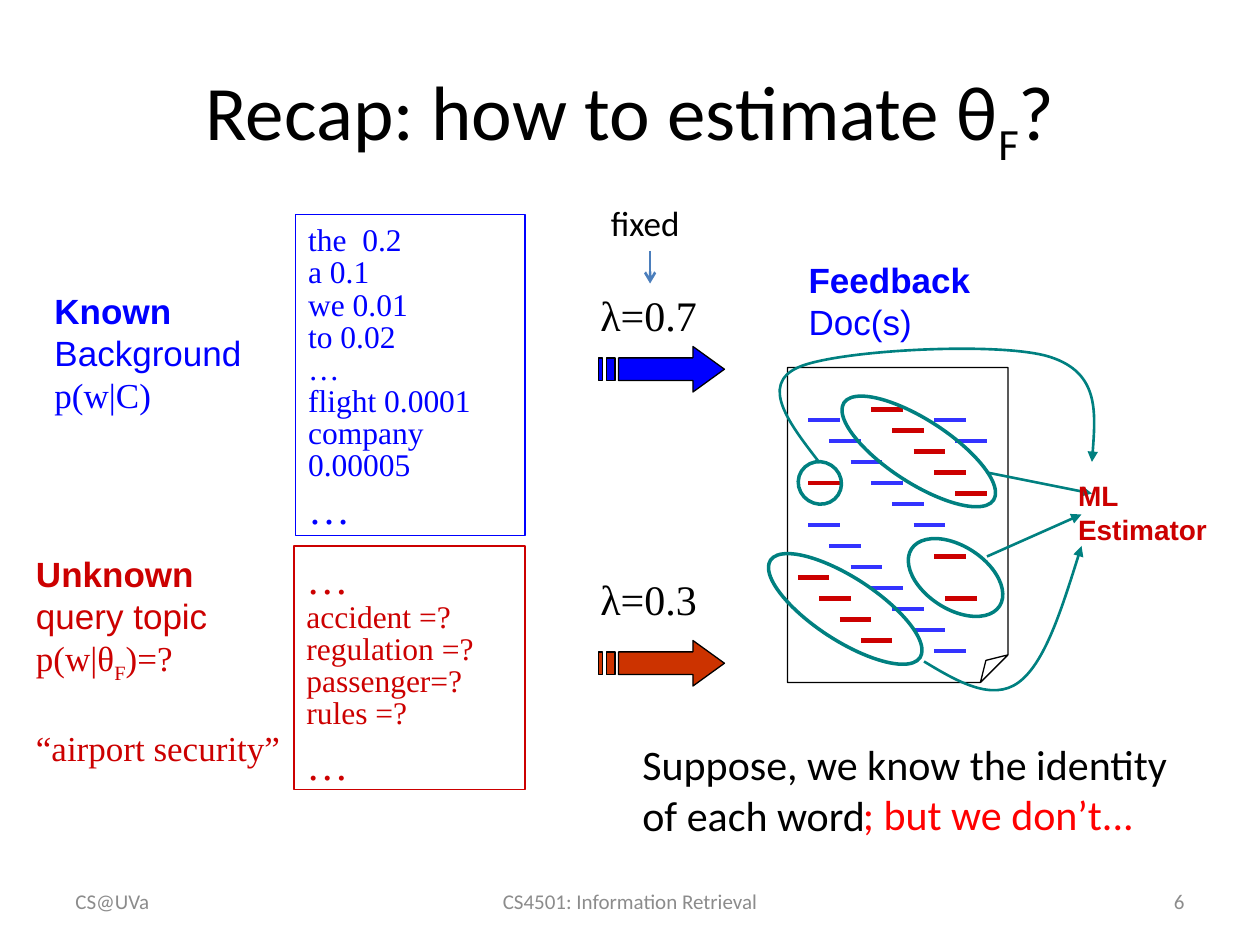
from typing import NamedTuple

import lxml.etree
import pptx
import pptx.dml.color
import pptx.enum.shapes
import pptx.enum.text
import pptx.oxml.ns
import pptx.util

Pt = pptx.util.Pt
qn = pptx.oxml.ns.qn
Align = pptx.enum.text.PP_ALIGN
Anchor = pptx.enum.text.MSO_ANCHOR
Preset = pptx.enum.shapes.MSO_SHAPE
Point = tuple[float, float]
BLACK, BLUE, RED, TEAL = "000000", "0000FF", "CC0000", "008080"
WORD_BLUE, GREY = "3333FF", "8C8C8C"
SERIF, SANS, BODY = "Times New Roman", "Arial", "Calibri"


class Line(NamedTuple):
    """One paragraph; "_F" in its text becomes a subscript F."""
    text: str
    size: float
    font: str
    bold: bool = False
    spacing: float = 1.0
    before: float = 0


class Box(NamedTuple):
    left: float
    top: float
    width: float
    height: float


class Label(NamedTuple):
    box: Box
    color: str
    lines: list[Line]
    wrap: bool = False
    align: Align = Align.LEFT
    anchor: Anchor = Anchor.TOP


class WordStairs(NamedTuple):
    """Word strokes that step down to the right."""
    left: float
    top: float
    count: int
    color: str


def word_list(*entries: str) -> list[Line]:
    return [Line(entry, 18, SERIF, spacing=0.85) for entry in entries]


TITLE = Label(Box(36, 21.6, 648, 90), BLACK, [Line("Recap: how to estimate θ_F?", 44, BODY)],
              True, Align.CENTER, Anchor.MIDDLE)
WORD_MODELS = [
    Label(Box(169, 122.4, 131, 183.6), BLUE,
          [Line("the  0.2", 18, SERIF),
           *word_list("a 0.1", "we 0.01", "to 0.02", "…", "flight 0.0001", "company 0.00005"),
           Line("…", 24, SERIF, spacing=0.85, before=4)], wrap=True),
    Label(Box(168, 312, 132, 139), RED,
          [Line("…", 24, SERIF),
           *word_list("accident =?", "regulation =?", "passenger=?", "rules =?"),
           Line("…", 24, SERIF, before=4)], wrap=True),
]
LABELS = [
    Label(Box(24, 162, 126, 79), BLUE,
          [Line("Known", 20, SANS, True), Line("Background", 20, SANS),
           Line("p(w|C)", 20, SERIF)]),
    Label(Box(13.5, 312, 160.5, 128), RED,
          [Line("Unknown", 20, SANS, True), Line("query topic", 20, SANS),
           Line("p(w|θ_F)=?", 20, SERIF), Line("“airport security”", 20, SERIF, before=24)]),
    Label(Box(336, 162, 71, 36), BLACK, [Line("λ=0.7", 24, SERIF)]),
    Label(Box(336, 324, 71, 36), BLACK, [Line("λ=0.3", 24, SERIF)]),
    Label(Box(455, 144, 108, 55.5), BLUE,
          [Line("Feedback", 20, SANS, True), Line("Doc(s)", 20, SANS)]),
    Label(Box(360, 418.5, 324, 65.5), BLACK,
          [Line("Suppose, we know the identity of each word", 24, BODY)], wrap=True),
    Label(Box(609, 270, 88.5, 46), RED,
          [Line("ML", 16, SANS, True), Line("Estimator", 16, SANS, True)]),
    Label(Box(342, 111.6, 75.6, 31.7), BLACK, [Line("fixed", 20, BODY)], wrap=True),
    Label(Box(486, 447, 170.6, 36), "FF0000", [Line("; but we don’t...", 24, BODY)]),
]
FOOTERS = [(36, 168, "CS@UVa", Align.LEFT), (516, 168, "6", Align.RIGHT),
           (246, 228, "CS4501: Information Retrieval", Align.CENTER)]
WORDS = [
    WordStairs(462, 240, 6, WORD_BLUE), WordStairs(534, 240, 2, WORD_BLUE),
    WordStairs(462, 300, 6, WORD_BLUE), WordStairs(534, 372, 1, WORD_BLUE),
    WordStairs(498, 234, 5, RED), WordStairs(456, 330, 4, RED), WordStairs(534, 318, 1, RED),
    WordStairs(540, 342, 1, RED), WordStairs(462, 276, 1, RED),
]
TOPIC_RINGS = [Box(474, 240, 102, 36), Box(432, 330, 102, 36),
               Box(516, 312, 60, 36), Box(456, 264, 25, 24)]
STRAIGHT_LINKS = [((564, 270), (624, 282)), ((564, 318), (618, 294))]
CURVED_LINKS = [
    [(528, 378), (547, 389.5), (567, 401), (582, 390), (597, 379), (607.5, 345.5), (618, 312)],
    [(468, 264), (451, 242), (434, 220), (456, 210), (478, 200), (572, 195),
     (600, 204), (628, 213), (626, 238.5), (624, 264)],
]


def rgb(color: str) -> pptx.dml.color.RGBColor:
    return pptx.dml.color.RGBColor.from_string(color)


def write_text(frame, label: Label) -> None:
    frame.word_wrap, frame.vertical_anchor = label.wrap, label.anchor
    for index, line in enumerate(label.lines):
        paragraph = frame.add_paragraph() if index else frame.paragraphs[0]
        before, mark, after = line.text.partition("_F")
        for text in filter(None, (before, mark, after)):
            run = paragraph.add_run()
            run.text = text.strip("_")
            if text == mark:
                run._r.get_or_add_rPr().set("baseline", "-25000")
        paragraph.alignment, paragraph.line_spacing = label.align, line.spacing
        paragraph.space_before = Pt(line.before)
        font = paragraph.font
        font.name, font.size, font.bold = line.font, Pt(line.size), line.bold
        font.color.rgb = rgb(label.color)


def add_label(slide, label: Label) -> None:
    write_text(slide.shapes.add_textbox(*map(Pt, label.box)).text_frame, label)


def style_outline(shape, color: str, width: float, head: str = "") -> None:
    shape.line.color.rgb = rgb(color)
    shape.line.width = Pt(width)
    if head:
        outline = shape._element.spPr.find(qn("a:ln"))
        lxml.etree.SubElement(outline, qn("a:tailEnd"), type=head)


def add_outline_shape(slide, preset: Preset, box: Box, color: str, width: float):
    shape = slide.shapes.add_shape(preset, *map(Pt, box))
    shape.shadow.inherit = False
    shape.fill.background()
    style_outline(shape, color, width)
    return shape


def add_line(slide, start: Point, end: Point, color: str, width: float, head: str = "") -> None:
    connector = slide.shapes.add_connector(
        pptx.enum.shapes.MSO_CONNECTOR.STRAIGHT, *map(Pt, start + end))
    style_outline(connector, color, width, head)
    lxml.etree.SubElement(connector._element.spPr, qn("a:effectLst"))


def add_curve(slide, points: list[Point]) -> None:
    """Draw cubic curves: a start point, then two controls and an end for each."""
    start, *rest = [(Pt(x), Pt(y)) for x, y in points]
    builder = slide.shapes.build_freeform(*start)
    builder.add_line_segments(rest, close=False)
    shape = builder.convert_to_shape()
    segments = list(shape._element.iter(qn("a:lnTo")))
    for first, second, third in zip(*[iter(segments)] * 3):
        first.tag = qn("a:cubicBezTo")
        for segment in (second, third):
            first.append(segment[0])
            segment.getparent().remove(segment)
    shape.shadow.inherit = False
    shape.fill.background()
    style_outline(shape, TEAL, 1.5, "triangle")


def add_striped_arrow(slide, left: float, top: float, color: str) -> None:
    head = [(54, 0), (54, 6.5), (11.5, 6.5), (11.5, 19.5), (54, 19.5), (54, 26), (72, 13)]
    stripes = [[(x, 6.5), (x, 19.5), (x + width, 19.5), (x + width, 6.5)]
               for x, width in ((4.5, 5), (0, 2.25))]
    builder = slide.shapes.build_freeform(Pt(left + 54), Pt(top))
    for contour in (head, *stripes):
        start, *rest = [(Pt(left + x), Pt(top + y)) for x, y in contour]
        if contour is not head:
            builder.move_to(*start)
        builder.add_line_segments(rest, close=True)
    shape = builder.convert_to_shape()
    shape.shadow.inherit = False
    shape.fill.solid()
    shape.fill.fore_color.rgb = rgb(color)
    style_outline(shape, BLACK, 0.75)


def main() -> None:
    presentation = pptx.Presentation()
    presentation.slide_width, presentation.slide_height = Pt(720), Pt(540)
    slide = presentation.slides.add_slide(presentation.slide_layouts[5])
    title = slide.shapes.title
    title.left, title.top, title.width, title.height = map(Pt, TITLE.box)
    write_text(title.text_frame, TITLE)
    for label in WORD_MODELS:
        shape = add_outline_shape(slide, Preset.RECTANGLE, label.box, label.color, 0.75)
        write_text(shape.text_frame, label)
    add_striped_arrow(slide, 342, 198, BLUE)
    add_striped_arrow(slide, 342, 366, "CC3300")
    page = add_outline_shape(slide, Preset.FOLDED_CORNER, Box(450, 210, 126, 180), BLACK, 0.75)
    guides = next(page._element.iter(qn("a:avLst")))
    lxml.etree.SubElement(guides, qn("a:gd"), name="adj", fmla="val 12500")
    for left, top, count, color in WORDS:
        for x, y in ((left + 12 * step, top + 12 * step) for step in range(count)):
            add_line(slide, (x, y), (x + 18, y), color, 2.5)
    for box in TOPIC_RINGS:
        add_outline_shape(slide, Preset.OVAL, box, TEAL, 2).rotation = 33
    for start, end in STRAIGHT_LINKS:
        add_line(slide, start, end, TEAL, 1.5, "triangle")
    for points in CURVED_LINKS:
        add_curve(slide, points)
    add_line(slide, (371.5, 143.3), (371.5, 162), "4B7EBC", 1.5, "arrow")
    for label in LABELS:
        add_label(slide, label)
    for left, width, text, align in FOOTERS:
        add_label(slide, Label(Box(left, 500.5, width, 28.75), GREY, [Line(text, 12, BODY)],
                               True, align, Anchor.MIDDLE))
    presentation.save("out.pptx")


main()
